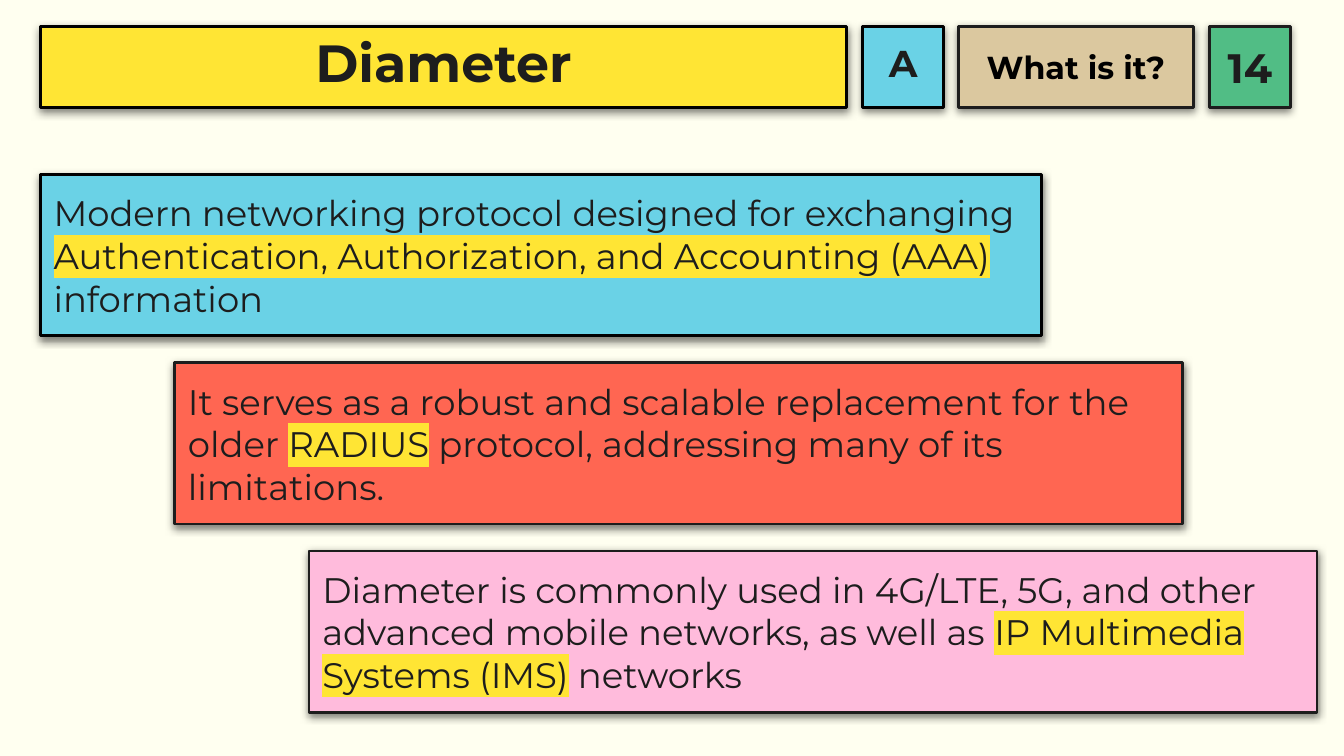
from lxml import etree
from pptx import Presentation
from pptx.dml.color import RGBColor
from pptx.enum import shapes, text
from pptx.oxml import ns
from pptx.util import Inches, Pt

COLORS = {
    "background": "FFFFF0", "ink": "1D1D1D", "black": "000000",
    "yellow": "FFE534", "blue": "6AD2E6", "red": "FF6652",
    "pink": "FFBBDC", "tan": "DBC89F", "green": "51BD85",
}


def add_card(left, top, width, height, fill, border):
    """Add an outlined rectangle with a soft shadow and return its text frame."""
    card = slide.shapes.add_shape(
        shapes.MSO_SHAPE.RECTANGLE,
        Inches(left), Inches(top), Inches(width), Inches(height))
    card.fill.solid()
    card.fill.fore_color.rgb = RGBColor.from_string(COLORS[fill])
    card.line.color.rgb = RGBColor.from_string(COLORS[border])
    card.line.width = Pt(1.5)

    card.shadow.inherit = False
    effects = card._element.spPr.find(ns.qn("a:effectLst"))
    shadow = etree.SubElement(
        effects, ns.qn("a:outerShdw"), blurRad=str(Pt(4.5)), dist=str(Pt(1.5)),
        dir="5400000", algn="bl", rotWithShape="0")
    shadow_color = etree.SubElement(shadow, ns.qn("a:srgbClr"), val=COLORS["black"])
    etree.SubElement(shadow_color, ns.qn("a:alpha"), val="50000")

    frame = card.text_frame
    frame.word_wrap = True
    frame.vertical_anchor = text.MSO_ANCHOR.MIDDLE
    frame.margin_left = frame.margin_right = Inches(0.1)
    frame.margin_top = frame.margin_bottom = Inches(0.1)
    return frame


prs = Presentation()
prs.slide_width = Inches(10)
prs.slide_height = Inches(10 * 9 / 16)
slide = prs.slides.add_slide(prs.slide_layouts[6])
slide.background.fill.solid()
slide.background.fill.fore_color.rgb = RGBColor.from_string(COLORS["background"])

# Header: left, width, fill, border, label, size, text colour, line spacing
header = [
    (0.3, 6, "yellow", "black", "Diameter", 28, "ink", 0.8),
    (6.42, 0.6, "blue", "black", "A", 20, "ink", 0.8),
    (7.13, 1.75, "tan", "ink", "What is it?", 17, "black", 1.0),
    (9, 0.6, "green", "ink", "14", 22, "ink", 1.0),
]
for left, width, fill, border, label, size, color, spacing in header:
    heading = add_card(left, 0.2, width, 0.6, fill, border).paragraphs[0]
    heading.text = label
    heading.alignment = text.PP_ALIGN.CENTER
    heading.line_spacing = spacing
    heading.font.name = "Montserrat"
    heading.font.size = Pt(size)
    heading.font.bold = True
    heading.font.color.rgb = RGBColor.from_string(COLORS[color])

# Facts step down and to the right; the middle part of each is highlighted
facts = [
    (7.45, "blue", "black", (
        "Modern networking protocol designed for exchanging ",
        "Authentication, Authorization, and Accounting (AAA)",
        " information")),
    (7.5, "red", "ink", (
        "It serves as a robust and scalable replacement for the older ",
        "RADIUS",
        " protocol, addressing many of its limitations.")),
    (7.5, "pink", "ink", (
        "Diameter is commonly used in 4G/LTE, 5G, and other advanced mobile "
        "networks, as well as ",
        "IP Multimedia Systems (IMS)",
        " networks")),
]
for step, (width, fill, border, parts) in enumerate(facts):
    frame = add_card(0.3 + step, 1.3 + 1.4 * step, width, 1.2, fill, border)
    fact = frame.paragraphs[0]
    fact.alignment = text.PP_ALIGN.LEFT
    fact.font.name = "Montserrat"
    fact.font.size = Pt(19)
    fact.font.color.rgb = RGBColor.from_string(COLORS["ink"])
    for position, part in enumerate(parts):
        run = fact.add_run()
        run.text = part
        if position == 1:
            highlight = etree.SubElement(run._r.get_or_add_rPr(), ns.qn("a:highlight"))
            etree.SubElement(highlight, ns.qn("a:srgbClr"), val=COLORS["yellow"])

prs.save("out.pptx")
